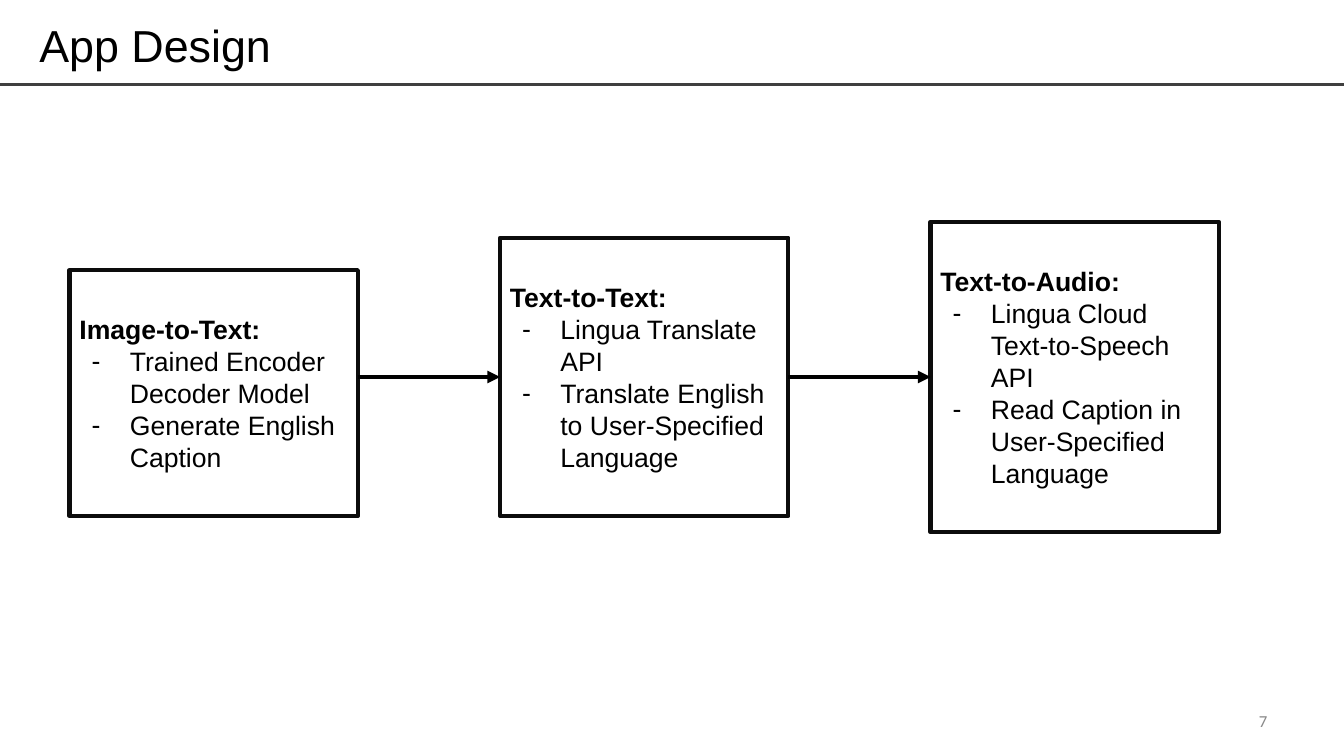
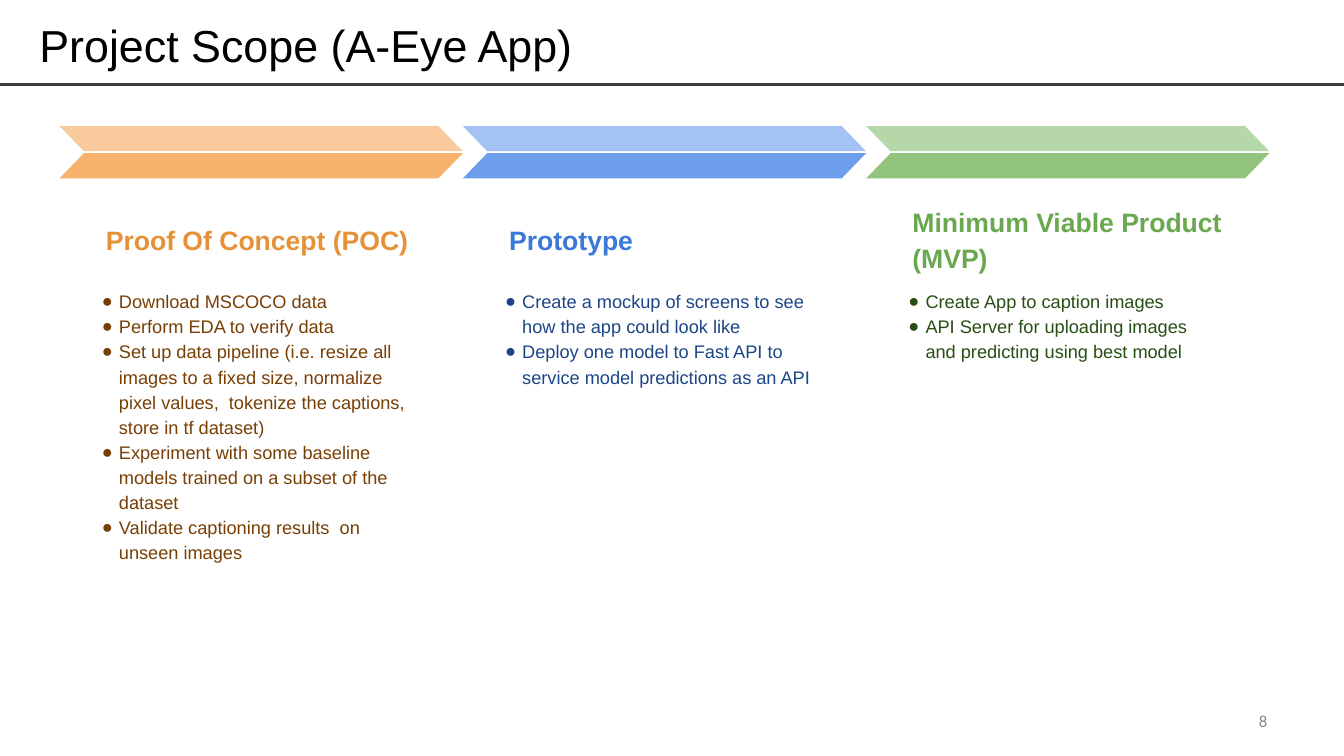
"""Build the app design and project scope slides."""
from dataclasses import dataclass

from lxml.etree import SubElement
from pptx import Presentation
from pptx.dml.color import RGBColor
from pptx.enum.shapes import MSO_CONNECTOR, MSO_SHAPE
from pptx.enum.text import MSO_ANCHOR, MSO_AUTO_SIZE, PP_ALIGN
from pptx.oxml.ns import qn
from pptx.util import Inches, Pt


@dataclass(frozen=True)
class Theme:
    font: str = "Arial"
    number_font: str = "Calibri"
    ink: str = "000000"
    outline: str = "0C0C0C"
    rule: str = "3F3F3F"
    number: str = "888888"
    title_size: float = 32
    heading_size: float = 19
    list_size: float = 13
    number_size: float = 12
    rule_width: float = 2.25
    flow_width: float = 3


THEME = Theme()
SLIDE_WIDTH, SLIDE_HEIGHT = 13.33, 7.5
RULE_TOP = 0.84

STAGES = [
    ("Image-to-Text:", 2.68, 2.44,
     ["Trained Encoder Decoder Model", "Generate English Caption"]),
    ("Text-to-Text:", 2.36, 2.76,
     ["Lingua Translate API", "Translate English to User-Specified Language"]),
    ("Text-to-Audio:", 2.2, 3.08,
     ["Lingua Cloud Text-to-Speech API", "Read Caption in User-Specified Language"]),
]
STAGE_LEFT, STAGE_STEP, STAGE_WIDTH, FLOW_MIDDLE = 0.69, 4.27, 2.86, 3.74

PHASES = [
    ("Proof Of Concept (POC)", ("F9CB9C", "F6B26B", "E69138", "783F04"),
     ["Download MSCOCO data",
      "Perform EDA to verify data",
      "Set up data pipeline (i.e. resize all images to a fixed size, normalize "
      "pixel values,  tokenize the captions, store in tf dataset)",
      "Experiment with some baseline models trained on a subset of the dataset",
      "Validate captioning results  on unseen images"]),
    ("Prototype", ("A4C2F4", "6D9EEB", "3C78D8", "1C4587"),
     ["Create a mockup of screens to see how the app could look like",
      "Deploy one model to Fast API to service model predictions as an API"]),
    ("Minimum Viable Product (MVP)", ("B6D7A8", "93C47D", "6AA84F", "274E13"),
     ["Create App to caption images",
      "API Server for uploading images and predicting using best model"]),
]
PHASE_LEFT, PHASE_WIDTH, PHASE_TEXT_WIDTH = 0.59, 4, 3.37
CHEVRON_TOP, CHEVRON_STEP, CHEVRON_HEIGHT = 1.25, 0.27, 0.25


def color(value):
    return RGBColor.from_string(value)


def set_frame(frame, anchor, side, end):
    frame.word_wrap = True
    frame.auto_size = MSO_AUTO_SIZE.NONE
    frame.vertical_anchor = anchor
    frame.margin_left = frame.margin_right = Inches(side)
    frame.margin_top = frame.margin_bottom = Inches(end)


def write(paragraph, text, size, ink, bold=False, font=THEME.font,
          align=PP_ALIGN.LEFT, spacing=1.0):
    paragraph.alignment = align
    paragraph.line_spacing = spacing
    run = paragraph.add_run()
    run.text = text
    run.font.name = font
    run.font.size = Pt(size)
    run.font.bold = bold
    run.font.color.rgb = color(ink)


def add_bullet(paragraph, mark, ink, indent, hanging):
    properties = paragraph._p.get_or_add_pPr()
    properties.set("marL", str(Inches(indent)))
    properties.set("indent", str(-Inches(hanging)))
    SubElement(SubElement(properties, qn("a:buClr")), qn("a:srgbClr")).set("val", ink)
    SubElement(properties, qn("a:buFont")).set("typeface", THEME.font)
    SubElement(properties, qn("a:buChar")).set("char", mark)


def add_line(shapes, start, end, ink, width):
    line = shapes.add_connector(MSO_CONNECTOR.STRAIGHT, *map(Inches, start + end))
    line.line.color.rgb = color(ink)
    line.line.width = Pt(width)
    SubElement(line._element.spPr, qn("a:effectLst"))
    return line


def add_text(shapes, left, top, width, height, anchor, side, end):
    frame = shapes.add_textbox(*map(Inches, (left, top, width, height))).text_frame
    set_frame(frame, anchor, side, end)
    return frame


def prepare_layout(layout):
    heading = layout.placeholders[0]
    heading.left, heading.top = Inches(0.29), Inches(0.1)
    heading.width, heading.height = Inches(11.79), Inches(0.75)


def add_slide(deck, layout, title, number):
    slide = deck.slides.add_slide(layout)
    heading = slide.shapes.title.text_frame
    set_frame(heading, MSO_ANCHOR.MIDDLE, 0.1, 0.05)
    write(heading.paragraphs[0], title, THEME.title_size, THEME.ink, spacing=0.9)
    footer = add_text(slide.shapes, 9.56, 6.95, 3.11, 0.4, MSO_ANCHOR.MIDDLE, 0.1, 0.05)
    write(footer.paragraphs[0], str(number), THEME.number_size, THEME.number,
          font=THEME.number_font, align=PP_ALIGN.RIGHT)
    return slide


def add_stage(shapes, index, name, top, height, steps):
    left = STAGE_LEFT + index * STAGE_STEP
    stage = shapes.add_shape(MSO_SHAPE.RECTANGLE,
                             *map(Inches, (left, top, STAGE_WIDTH, height)))
    stage.shadow.inherit = False
    stage.fill.background()
    stage.line.color.rgb = color(THEME.outline)
    stage.line.width = Pt(THEME.flow_width)
    set_frame(stage.text_frame, MSO_ANCHOR.MIDDLE, 0.1, 0.1)
    write(stage.text_frame.paragraphs[0], name, THEME.heading_size, THEME.ink, bold=True)
    for step in steps:
        paragraph = stage.text_frame.add_paragraph()
        add_bullet(paragraph, "-", THEME.ink, 0.5, 0.38)
        write(paragraph, step, THEME.heading_size, THEME.ink)
    return stage


def add_flow(shapes, index, source, target):
    start = STAGE_LEFT + index * STAGE_STEP + STAGE_WIDTH
    end = STAGE_LEFT + (index + 1) * STAGE_STEP
    arrow = add_line(shapes, (start, FLOW_MIDDLE), (end, FLOW_MIDDLE),
                     THEME.ink, THEME.flow_width)
    if abs(source.top + source.height / 2 - Inches(FLOW_MIDDLE)) < Inches(0.01):
        arrow.begin_connect(source, 3)
    arrow.end_connect(target, 1)
    SubElement(arrow.line._get_or_add_ln(), qn("a:tailEnd")).set("type", "triangle")


def add_phase(shapes, index, name, tones, tasks):
    left = PHASE_LEFT + index * PHASE_WIDTH
    *halves, name_ink, task_ink = tones
    for row, tone in enumerate(halves):
        half = shapes.add_shape(
            MSO_SHAPE.PARALLELOGRAM, Inches(left),
            Inches(CHEVRON_TOP + row * CHEVRON_STEP),
            Inches(PHASE_WIDTH), Inches(CHEVRON_HEIGHT))
        half.adjustments[0] = 0.97
        half.shadow.inherit = False
        half.fill.solid()
        half.fill.fore_color.rgb = color(tone)
        half.line.fill.background()
        if row == 0:
            half._element.spPr.xfrm.set("flipH", "1")
    heading = add_text(shapes, left + 0.33, 1.93, PHASE_TEXT_WIDTH, 0.85,
                       MSO_ANCHOR.MIDDLE, 0.13, 0.13)
    write(heading.paragraphs[0], name, THEME.heading_size, name_ink,
          bold=True, spacing=1.15)
    details = add_text(shapes, left + 0.29, 2.72, PHASE_TEXT_WIDTH, 4.12,
                       MSO_ANCHOR.TOP, 0.13, 0.13)
    for position, task in enumerate(tasks):
        paragraph = details.add_paragraph() if position else details.paragraphs[0]
        add_bullet(paragraph, "●", task_ink, 0.17, 0.17)
        write(paragraph, task, THEME.list_size, task_ink, spacing=1.15)


def main():
    deck = Presentation()
    deck.slide_width, deck.slide_height = Inches(SLIDE_WIDTH), Inches(SLIDE_HEIGHT)
    layout = deck.slide_layouts.get_by_name("Title Only")
    prepare_layout(layout)

    design = add_slide(deck, layout, "App Design", 7)
    rule = add_line(design.shapes, (0, RULE_TOP), (SLIDE_WIDTH, RULE_TOP),
                    THEME.rule, THEME.rule_width)
    layout.shapes._spTree.append(rule._element)
    stages = [add_stage(design.shapes, index, *stage)
              for index, stage in enumerate(STAGES)]
    for index, (source, target) in enumerate(zip(stages, stages[1:])):
        add_flow(design.shapes, index, source, target)

    scope = add_slide(deck, layout, "Project Scope (A-Eye App)", 8)
    for index, phase in enumerate(PHASES):
        add_phase(scope.shapes.add_group_shape().shapes, index, *phase)

    deck.save("out.pptx")


if __name__ == "__main__":
    main()
